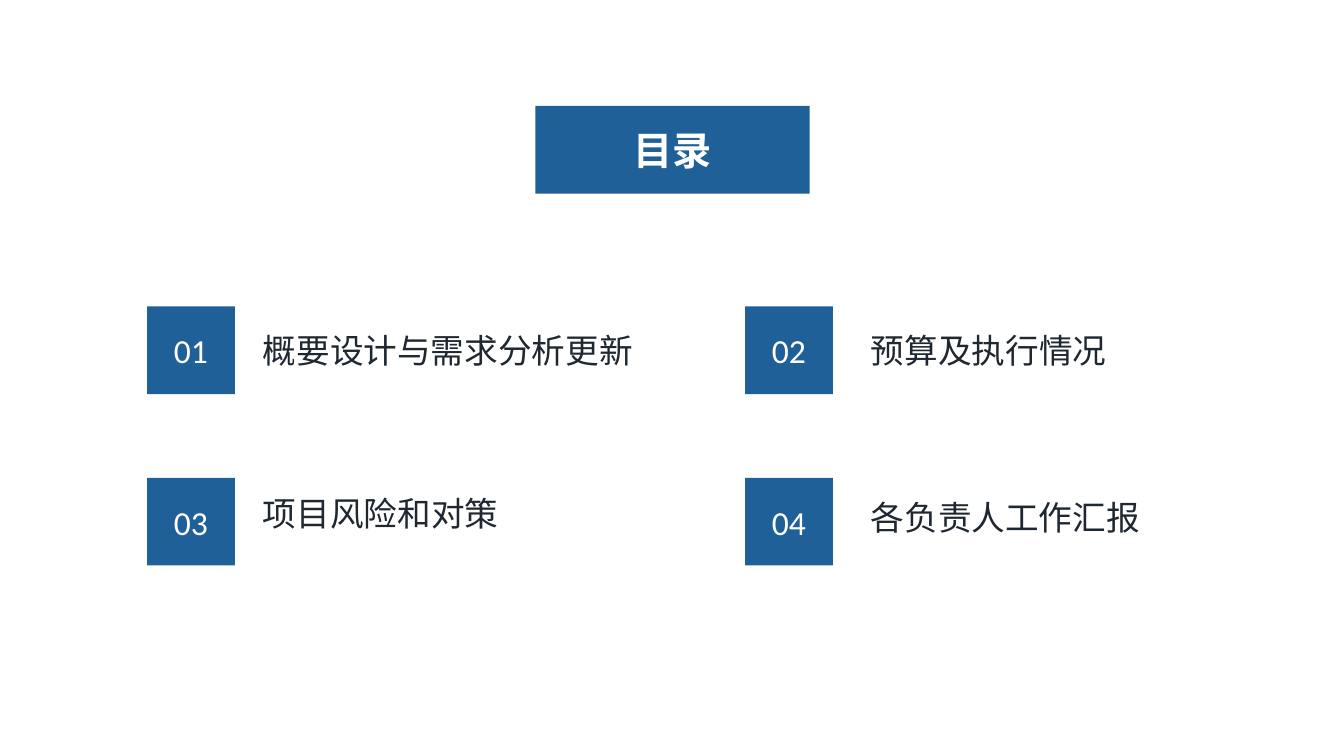
from pptx import Presentation
from pptx.dml.color import RGBColor
from pptx.enum.shapes import MSO_SHAPE
from pptx.enum.text import MSO_ANCHOR, MSO_AUTO_SIZE, PP_ALIGN
from pptx.util import Inches, Pt

COLORS = {"blue": "206099", "white": "FFFFFF", "ink": "1F2731"}

TITLE_FONT = {"name": "Calibri", "size": Pt(28), "bold": True}
ENTRY_FONT = {"name": "Calibri", "size": Pt(24), "bold": False}
CENTERED_FRAME = {"vertical_anchor": MSO_ANCHOR.MIDDLE, "word_wrap": True}
LABEL_FRAME = {
    "vertical_anchor": MSO_ANCHOR.TOP,
    "word_wrap": False,
    "auto_size": MSO_AUTO_SIZE.SHAPE_TO_FIT_TEXT,
}

# Agenda grid: two columns by two rows, read row by row
NUMBER_LEFTS = (1.46, 7.39)
LABEL_LEFTS = (2.51, 8.54)
FIRST_ROW_TOP = 3.04
ROW_STEP = 1.7
BLOCK_HEIGHT = 0.87
LABEL_HEIGHT = 0.5
LABEL_PADDING = 0.22
CHARACTER_WIDTH = 24 / 72

# Entry wording and the drop of its label below the top of its row
AGENDA = (
    ("概要设计与需求分析更新", 0.18),
    ("预算及执行情况", 0.18),
    ("项目风险和对策", 0.1),
    ("各负责人工作汇报", 0.14),
)


def apply_format(target, values):
    for attribute, value in values.items():
        setattr(target, attribute, value)


def write_text(holder, wording, color, font, frame, align):
    apply_format(holder.text_frame, frame)
    paragraph = holder.text_frame.paragraphs[0]
    paragraph.alignment = align
    run = paragraph.add_run()
    run.text = wording
    apply_format(run.font, font)
    run.font.color.rgb = RGBColor.from_string(COLORS[color])


def fill_block(block):
    block.fill.solid()
    block.fill.fore_color.rgb = RGBColor.from_string(COLORS["blue"])
    block.line.fill.background()


def add_heading(slide, wording):
    heading = slide.shapes.title
    place = {"left": 5.31, "top": 1.05, "width": 2.72, "height": BLOCK_HEIGHT}
    apply_format(heading, {side: Inches(length) for side, length in place.items()})
    fill_block(heading)
    write_text(heading, wording, "white", TITLE_FONT, CENTERED_FRAME, PP_ALIGN.CENTER)


def add_number(slide, number, left, top):
    square = slide.shapes.add_shape(
        MSO_SHAPE.RECTANGLE, Inches(left), Inches(top),
        Inches(BLOCK_HEIGHT), Inches(BLOCK_HEIGHT))
    square.shadow.inherit = False
    fill_block(square)
    write_text(square, f"{number:02d}", "white", ENTRY_FONT, CENTERED_FRAME,
               PP_ALIGN.CENTER)


def add_label(slide, wording, left, top):
    width = LABEL_PADDING + len(wording) * CHARACTER_WIDTH
    label = slide.shapes.add_textbox(
        Inches(left), Inches(top), Inches(width), Inches(LABEL_HEIGHT))
    write_text(label, wording, "ink", ENTRY_FONT, LABEL_FRAME, PP_ALIGN.LEFT)


def main():
    deck = Presentation()
    deck.slide_width, deck.slide_height = Inches(13.33), Inches(7.5)
    slide = deck.slides.add_slide(deck.slide_layouts[5])

    # Heading
    add_heading(slide, "目录")

    # Numbered agenda entries
    for index, (wording, label_drop) in enumerate(AGENDA):
        row, column = divmod(index, len(NUMBER_LEFTS))
        top = FIRST_ROW_TOP + row * ROW_STEP
        add_number(slide, index + 1, NUMBER_LEFTS[column], top)
        add_label(slide, wording, LABEL_LEFTS[column], top + label_drop)

    deck.save("out.pptx")


if __name__ == "__main__":
    main()
